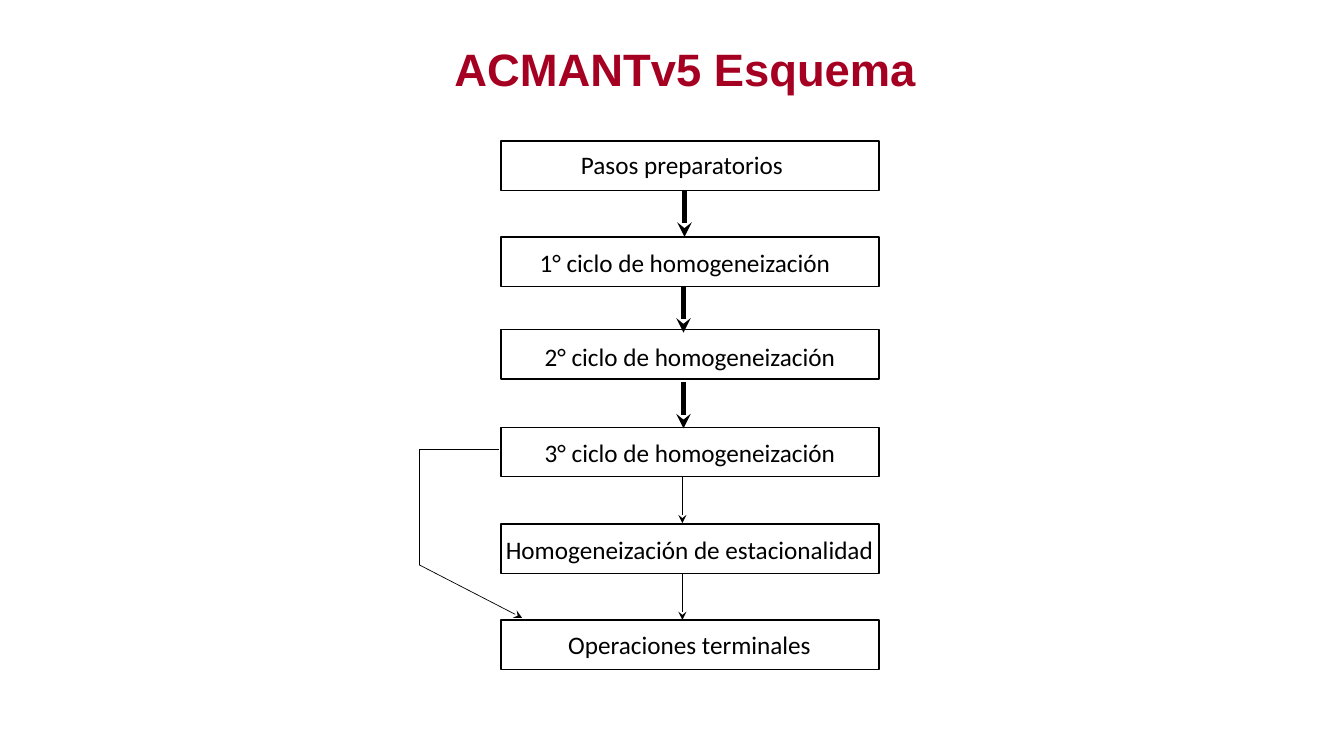
import dataclasses

import lxml.etree
import pptx
import pptx.dml.color
import pptx.enum.shapes
import pptx.enum.text
import pptx.oxml.ns
import pptx.slide
import pptx.util

Pt = pptx.util.Pt
qn = pptx.oxml.ns.qn

COLORS = {"title": "A50021", "ink": "000000", "paper": "FFFFFF"}
BOX_LEFT, BOX_WIDTH, BOX_HEIGHT = 357.8, 270, 35.3
LABEL_HEIGHT = 28.8
THICK, THIN = 3.5, 0.5


@dataclasses.dataclass
class Step:
    text: str
    top: float
    label_center: float
    label_top: float
    label_width: float


@dataclasses.dataclass
class Line:
    start: tuple[float, float]
    end: tuple[float, float]
    width: float
    arrow: bool = True


STEPS = [
    Step("Pasos preparatorios", 100.8, 487.1, 103, 159),
    Step("1° ciclo de homogeneización", 169.2, 489.2, 172.8, 263),
    Step("2° ciclo de homogeneización", 235.4, 492.8, 240.5, 238),
    Step("3° ciclo de homogeneización", 305.3, 492.8, 308.9, 254),
    Step("Homogeneización de estacionalidad", 374.4, 492.5, 378, 285),
    Step("Operaciones terminales", 442.8, 492.5, 445.7, 190),
]

LINES = [
    # Downward flow
    Line((488.9, 136.1), (488.9, 169.2), THICK),
    Line((488.2, 204.5), (488.2, 237.6), THICK),
    Line((488.2, 272.9), (488.2, 306), THICK),
    Line((487.4, 340.6), (487.4, 373.7), THIN),
    Line((487.4, 409.7), (487.4, 442.8), THIN),
    # Bypass from the third cycle to the final operations
    Line((356.4, 321.1), (299.5, 321.1), THIN, False),
    Line((299.5, 321.1), (299.5, 403.5), THIN, False),
    Line((299.5, 403.5), (373, 441.4), THIN),
]


def color(name: str) -> pptx.dml.color.RGBColor:
    return pptx.dml.color.RGBColor.from_string(COLORS[name])


def add_text(page: pptx.slide.Slide, text: str, left: float, top: float,
             width: float, height: float, font: str, size: float,
             ink: str, bold: bool = False, spacing: float = 1.0) -> None:
    box = page.shapes.add_textbox(Pt(left), Pt(top), Pt(width), Pt(height))
    frame = box.text_frame
    frame.word_wrap = True
    frame.vertical_anchor = pptx.enum.text.MSO_ANCHOR.MIDDLE
    frame.text = text
    para = frame.paragraphs[0]
    para.alignment = pptx.enum.text.PP_ALIGN.CENTER
    para.line_spacing = spacing
    span = para.runs[0]
    span.font.name = font
    span.font.size = Pt(size)
    span.font.bold = bold
    span.font.color.rgb = color(ink)


def add_step(page: pptx.slide.Slide, step: Step) -> None:
    box = page.shapes.add_shape(
        pptx.enum.shapes.MSO_SHAPE.RECTANGLE,
        Pt(BOX_LEFT), Pt(step.top), Pt(BOX_WIDTH), Pt(BOX_HEIGHT))
    box.shadow.inherit = False
    box.fill.background()
    box.line.color.rgb = color("ink")
    box.line.width = Pt(1)
    add_text(page, step.text, step.label_center - step.label_width / 2,
             step.label_top, step.label_width, LABEL_HEIGHT,
             "Calibri", 18, "ink")


def add_line(page: pptx.slide.Slide, line: Line) -> None:
    connector = page.shapes.add_connector(
        pptx.enum.shapes.MSO_CONNECTOR.STRAIGHT,
        *map(Pt, line.start + line.end))
    connector.line.color.rgb = color("ink")
    connector.line.width = Pt(line.width)
    properties = connector._element.spPr
    if line.arrow:
        outline = properties.find(qn("a:ln"))
        lxml.etree.SubElement(outline, qn("a:tailEnd"), type="stealth")
    lxml.etree.SubElement(properties, qn("a:effectLst"))


def main() -> None:
    deck = pptx.Presentation()
    deck.slide_width, deck.slide_height = Pt(960), Pt(540)
    page = deck.slides.add_slide(deck.slide_layouts[6])
    page.background.fill.solid()
    page.background.fill.fore_color.rgb = color("paper")

    # Title
    add_text(page, "ACMANTv5 Esquema", 311.8, 18.7, 355, 64.8,
             "Arial", 32.4, "title", bold=True, spacing=0.9)

    # Steps and the lines between them
    for step in STEPS:
        add_step(page, step)
    for line in LINES:
        add_line(page, line)

    deck.save("out.pptx")


if __name__ == "__main__":
    main()
